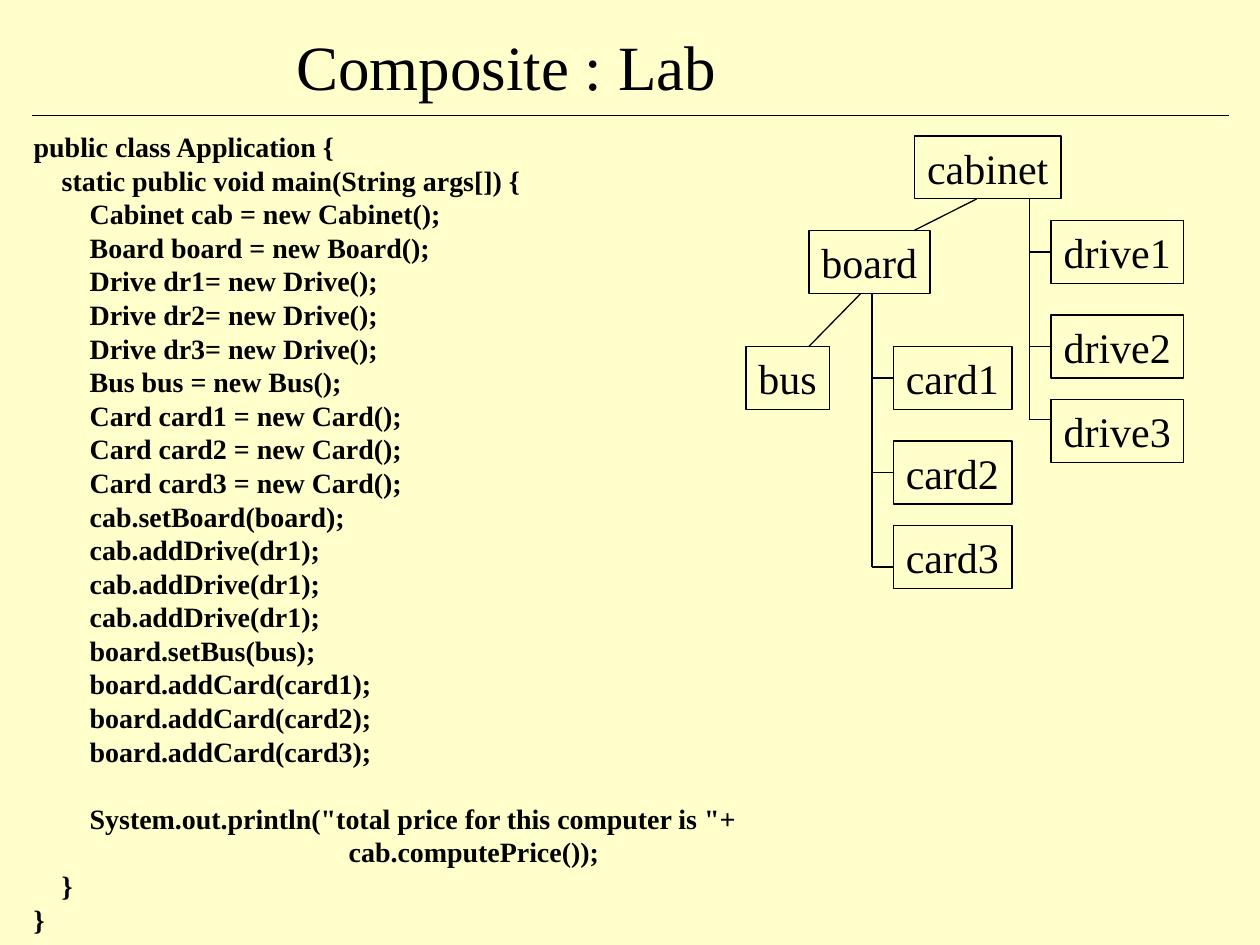
from lxml.etree import SubElement
from pptx import Presentation
from pptx.dml.color import RGBColor
from pptx.enum.shapes import MSO_CONNECTOR, MSO_SHAPE
from pptx.enum.text import MSO_ANCHOR, MSO_AUTO_SIZE, PP_ALIGN
from pptx.oxml.ns import qn
from pptx.util import Cm, Pt

INK = "000000"
PAPER = "FFFFCC"
FONT = "Times New Roman"
LEADING = 1.2
NODE_HEIGHT = 1.27
SIBLING_STEPS = (0, 1.91, 3.61)

CODE = [
    (0, "public class Application {"),
    (1, "static public void main(String args[]) {"),
    (2, "Cabinet cab = new Cabinet();"),
    (2, "Board board = new Board();"),
    (2, "Drive dr1= new Drive();"),
    (2, "Drive dr2= new Drive();"),
    (2, "Drive dr3= new Drive();"),
    (2, "Bus bus = new Bus();"),
    (2, "Card card1 = new Card();"),
    (2, "Card card2 = new Card();"),
    (2, "Card card3 = new Card();"),
    (2, "cab.setBoard(board);"),
    (2, "cab.addDrive(dr1);"),
    (2, "cab.addDrive(dr1);"),
    (2, "cab.addDrive(dr1);"),
    (2, "board.setBus(bus);"),
    (2, "board.addCard(card1);"),
    (2, "board.addCard(card2);"),
    (2, "board.addCard(card3);"),
    (2, 'System.out.println("total price for this computer is "+'),
    (11.25, "cab.computePrice());"),
    (1, "}"),
    (0, "}"),
]


def color(hex_string):
    return RGBColor.from_string(hex_string)


def style_text(frame, size, bold=False, wrap=True):
    frame.word_wrap = wrap
    frame.auto_size = MSO_AUTO_SIZE.NONE
    frame.vertical_anchor = MSO_ANCHOR.TOP
    for paragraph in frame.paragraphs:
        paragraph.alignment = PP_ALIGN.LEFT
        paragraph.line_spacing = Pt(size * LEADING)
        for run in paragraph.runs:
            run.font.name = FONT
            run.font.size = Pt(size)
            run.font.bold = bold
            run.font.color.rgb = color(INK)


def add_line(slide, x1, y1, x2, y2):
    line = slide.shapes.add_connector(
        MSO_CONNECTOR.STRAIGHT, Cm(x1), Cm(y1), Cm(x2), Cm(y2))
    line.line.color.rgb = color(INK)
    line.line.width = Pt(0.75)
    SubElement(line._element.spPr, qn("a:effectLst"))


def add_heading(slide, left, top, width, height):
    title = slide.shapes.title
    title.left, title.top = Cm(left), Cm(top)
    title.width, title.height = Cm(width), Cm(height)
    title.text_frame.text = "Composite : Lab"
    style_text(title.text_frame, 36)
    add_line(slide, 0.64, 2.33, 24.77, 2.33)


def add_code(slide, left, top, width, height):
    size = 16
    listing = slide.shapes.add_textbox(
        Cm(left), Cm(top), Cm(width), Cm(height)).text_frame
    listing.text = "\n".join(text for _, text in CODE)
    style_text(listing, size, bold=True)
    for paragraph, (level, text) in zip(listing.paragraphs, CODE):
        properties = paragraph._p.get_or_add_pPr()
        properties.set("marL", str(Pt(size * level)))
        properties.set("indent", "0")
        if text.startswith("System"):
            paragraph.space_before = Pt(size * LEADING)


def add_node(slide, name, left, top, width):
    node = slide.shapes.add_shape(
        MSO_SHAPE.RECTANGLE, Cm(left), Cm(top), Cm(width), Cm(NODE_HEIGHT))
    node.shadow.inherit = False
    node.fill.background()
    node.line.color.rgb = color(INK)
    node.line.width = Pt(0.75)
    node.text_frame.text = name
    style_text(node.text_frame, 24, wrap=False)


def add_siblings(slide, kind, left, top, width, trunk_top, taps):
    trunk = left - 0.43
    add_line(slide, trunk, trunk_top, trunk, top + taps[-1])
    for number, (step, tap) in enumerate(zip(SIBLING_STEPS, taps), start=1):
        add_node(slide, f"{kind}{number}", left, top + step, width)
        add_line(slide, trunk, top + tap, left, top + tap)


def add_object_tree(slide, left, top):
    board_top, bus_top = top + 1.91, top + 4.24
    cabinet_bottom = top + NODE_HEIGHT
    board_bottom = board_top + NODE_HEIGHT

    add_node(slide, "cabinet", left + 3.4, top, 2.95)
    add_node(slide, "board", left + 1.27, board_top, 2.44)
    add_node(slide, "bus", left, bus_top, 1.68)
    add_line(slide, left + 4.65, cabinet_bottom, left + 3.38, board_top)
    add_line(slide, left + 2.31, board_bottom, left + 1.27, bus_top)
    add_siblings(slide, "drive", left + 6.15, top + 1.7, 2.67,
                 cabinet_bottom, (0.64, 2.54, 4.02))
    add_siblings(slide, "card", left + 2.97, bus_top, 2.39,
                 board_bottom, (0.64, 2.54, 4.45))


def main():
    presentation = Presentation()
    presentation.slide_width, presentation.slide_height = Cm(25.4), Cm(19.05)
    slide = presentation.slides.add_slide(presentation.slide_layouts[5])
    slide.background.fill.solid()
    slide.background.fill.fore_color.rgb = color(PAPER)
    add_heading(slide, 5.72, 0.43, 14.27, 1.78)
    add_code(slide, 0.43, 2.49, 15.88, 17.2)
    add_object_tree(slide, 15.04, 2.74)
    presentation.save("out.pptx")


if __name__ == "__main__":
    main()
